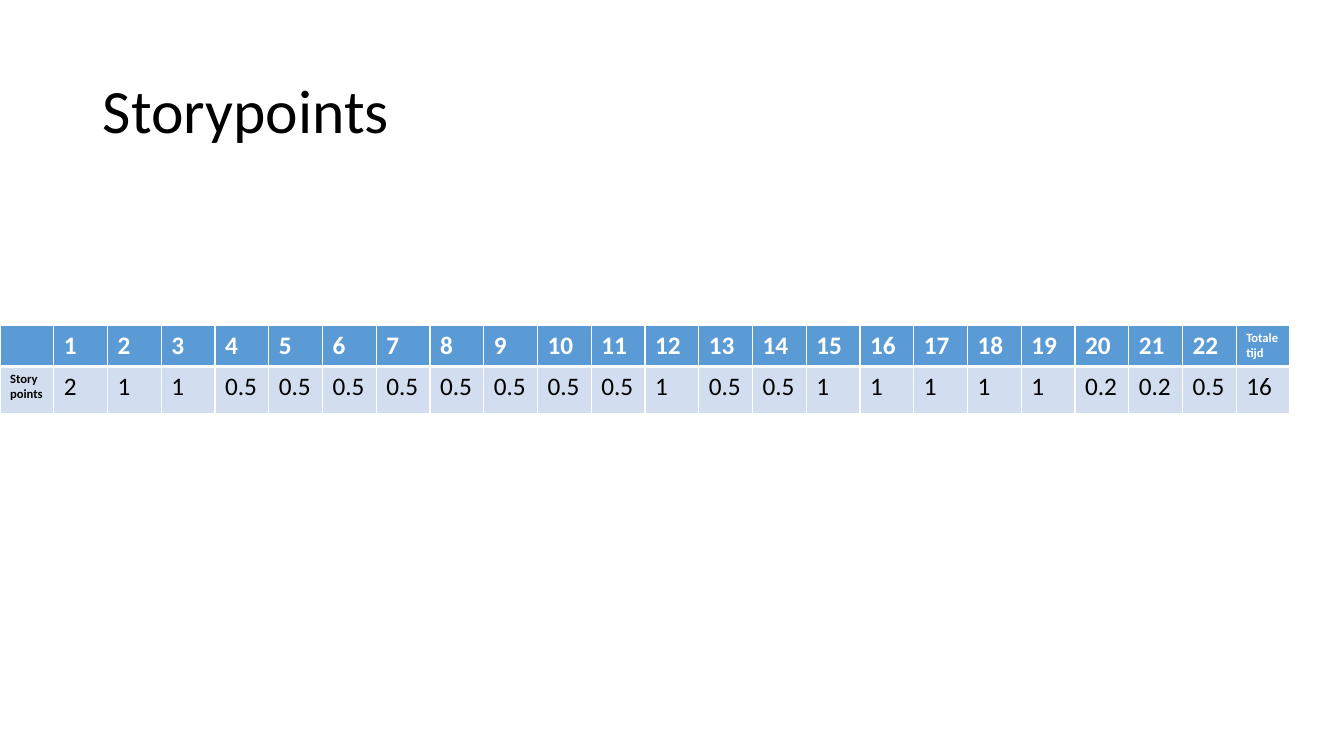
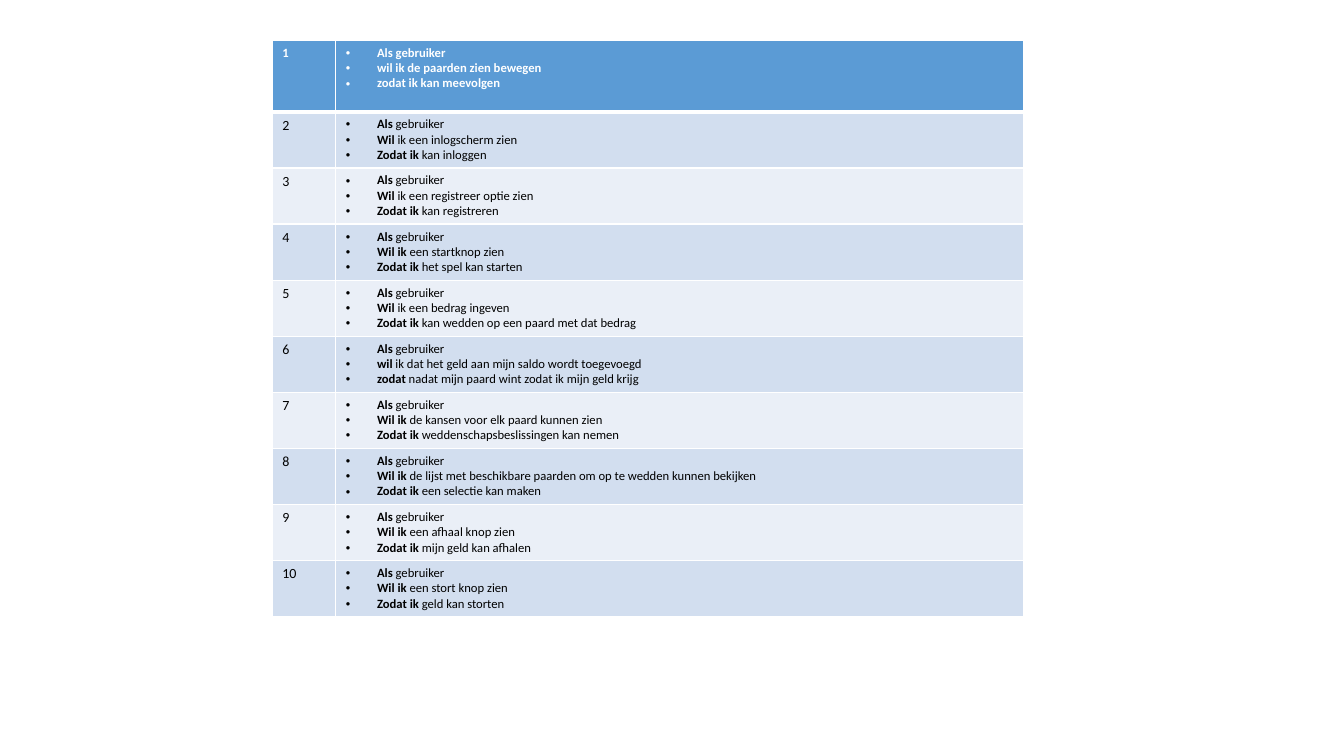
from pptx import Presentation
from pptx.dml.color import RGBColor
from pptx.enum.text import MSO_ANCHOR, PP_ALIGN
from pptx.oxml.ns import qn
from pptx.util import Inches, Pt
from lxml.etree import SubElement

# Shared look
FONT = "Calibri"
BLACK, WHITE = "000000", "FFFFFF"
HEADER_FILL = "5B9BD5"
BAND_FILLS = ("D2DEEF", "EAEFF7")

# Content
TITLE = "Storypoints"
POINTS_LABEL, TOTAL_LABEL, TOTAL = "Storypoints", "Totale tijd", "16"
POINTS = ["2", "1", "1"] + ["0.5"] * 8 + ["1", "0.5", "0.5"] + ["1"] * 5 + ["0.2", "0.2", "0.5"]

# The words before the bar are bold
STORIES = [
    ("Als gebruiker", "wil ik de paarden zien bewegen", "zodat ik kan meevolgen"),
    ("Als |gebruiker", "Wil| ik een inlogscherm zien", "Zodat ik |kan inloggen"),
    ("Als |gebruiker", "Wil| ik een registreer optie zien", "Zodat ik |kan registreren"),
    ("Als |gebruiker", "Wil ik| een startknop zien", "Zodat ik |het spel kan starten"),
    ("Als |gebruiker", "Wil| ik een bedrag ingeven",
     "Zodat ik |kan wedden op een paard met dat bedrag"),
    ("Als| gebruiker", "wil| ik dat het geld aan mijn saldo wordt toegevoegd",
     "zodat| nadat mijn paard wint zodat ik mijn geld krijg"),
    ("Als |gebruiker", "Wil ik| de kansen voor elk paard kunnen zien",
     "Zodat ik |weddenschapsbeslissingen kan nemen"),
    ("Als |gebruiker", "Wil ik |de lijst met beschikbare paarden om op te wedden kunnen bekijken",
     "Zodat ik |een selectie kan maken"),
    ("Als |gebruiker", "Wil ik |een afhaal knop zien", "Zodat ik |mijn geld kan afhalen"),
    ("Als |gebruiker", "Wil ik |een stort knop zien", "Zodat ik |geld kan storten"),
]


def rgb(hex_colour):
    return RGBColor.from_string(hex_colour)


def add_run(paragraph, text, size, colour, bold=False):
    run = paragraph.add_run()
    run.text = text
    run.font.name, run.font.size, run.font.bold = FONT, Pt(size), bold
    run.font.color.rgb = rgb(colour)


def add_bullet(paragraph):
    props = paragraph._p.get_or_add_pPr()
    props.set("marL", str(Inches(0.31)))
    props.set("indent", str(-Inches(0.31)))
    SubElement(props, qn("a:buFont"), typeface="Arial")
    SubElement(props, qn("a:buChar"), char="•")


def add_border(cell, side, width):
    line = SubElement(cell._tc.get_or_add_tcPr(), qn(f"a:ln{side}"), w=str(Pt(width)))
    SubElement(SubElement(line, qn("a:solidFill")), qn("a:srgbClr"), val=WHITE)


def add_banded_table(slide, left, top, widths, heights):
    """Blue header row, banded body, white grid with a thick rule below the header."""
    table = slide.shapes.add_table(len(heights), len(widths), Inches(left), Inches(top),
                                   Inches(sum(widths)), Inches(sum(heights))).table
    for column, width in zip(table.columns, widths):
        column.width = Inches(width)
    for r, (row, height) in enumerate(zip(table.rows, heights)):
        row.height = Inches(height)
        for cell in row.cells:
            for side in "LRTB":
                below_header = (r, side) in ((0, "B"), (1, "T"))
                add_border(cell, side, 3 if below_header else 1)
            cell.fill.solid()
            cell.fill.fore_color.rgb = rgb(BAND_FILLS[(r - 1) % 2] if r else HEADER_FILL)
    return table


def build_points_slide(prs):
    slide = prs.slides.add_slide(prs.slide_layouts[5])
    title = slide.shapes.title
    title.left, title.top = Inches(0.92), Inches(0.4)
    title.width, title.height = Inches(11.5), Inches(1.45)
    title.text_frame.vertical_anchor = MSO_ANCHOR.MIDDLE
    heading = title.text_frame.paragraphs[0]
    heading.alignment, heading.line_spacing = PP_ALIGN.LEFT, 0.9
    add_run(heading, TITLE, 44, BLACK)

    numbers = [str(n) for n in range(1, len(POINTS) + 1)]
    rows = (["", *numbers, TOTAL_LABEL], [POINTS_LABEL, *POINTS, TOTAL])
    count = len(rows[0])
    table = add_banded_table(slide, 0, 3.23, [12.8 / count] * count, [0.4, 0.47])
    for r, texts in enumerate(rows):
        for c, text in enumerate(texts):
            if text:
                is_label = text in (POINTS_LABEL, TOTAL_LABEL)
                add_run(table.cell(r, c).text_frame.paragraphs[0], text, 9 if is_label else 18,
                        BLACK if r else WHITE, bold=r == 0 or is_label)


def build_stories_slide(prs):
    slide = prs.slides.add_slide(prs.slide_layouts[6])
    heights = [0.71] + [0.55] * (len(STORIES) - 1)
    table = add_banded_table(slide, 2.7, 0.4, [0.63, 6.82], heights)
    for r, story in enumerate(STORIES):
        colour = BLACK if r else WHITE
        number, wish = (table.cell(r, c).text_frame for c in (0, 1))
        add_run(number.paragraphs[0], str(r + 1), 10 if r else 9, colour, bold=r == 0)
        for i, line in enumerate(story):
            paragraph = wish.add_paragraph() if i else wish.paragraphs[0]
            add_bullet(paragraph)
            keyword, _, rest = line.partition("|")
            add_run(paragraph, keyword, 9, colour, bold=True)
            if rest:
                add_run(paragraph, rest, 9, colour)


def main():
    prs = Presentation()
    prs.slide_width, prs.slide_height = Inches(13.33), Inches(7.5)
    build_points_slide(prs)
    build_stories_slide(prs)
    prs.save("out.pptx")


if __name__ == "__main__":
    main()
